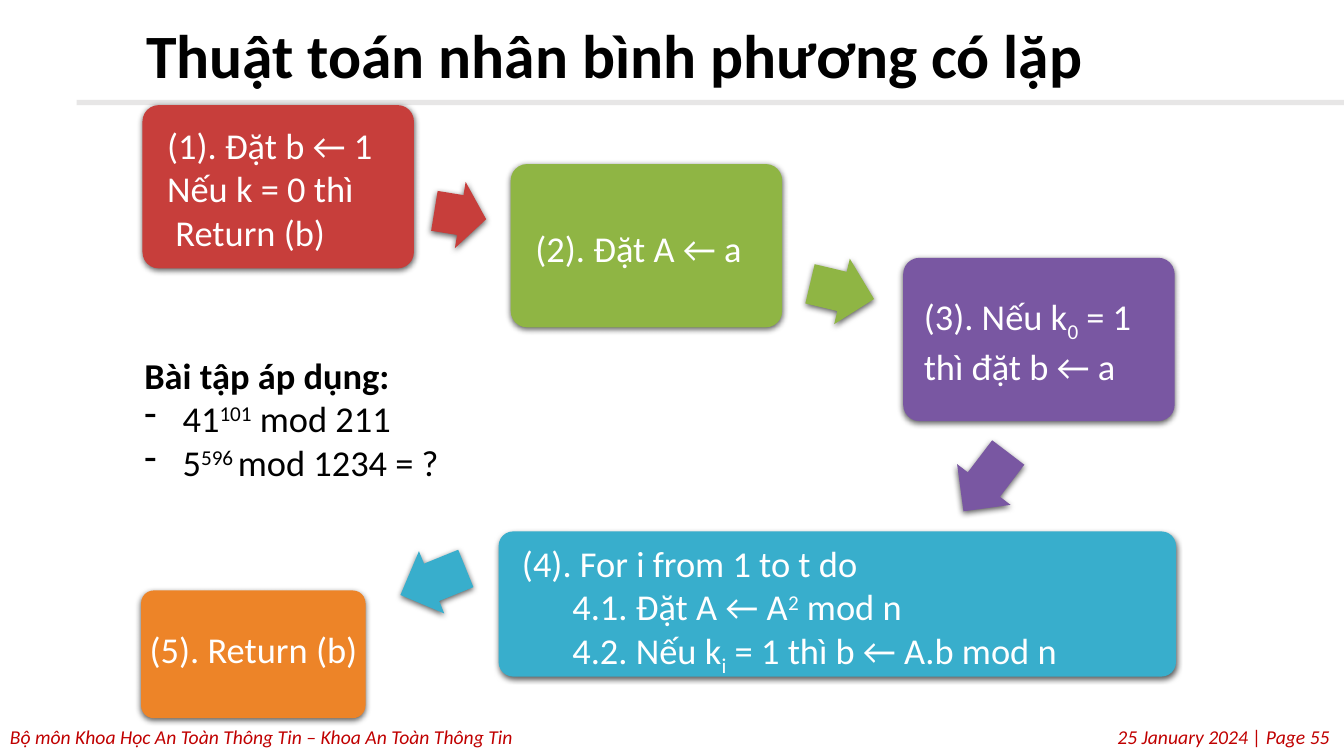
from lxml.etree import SubElement
from pptx import Presentation
from pptx.dml.color import RGBColor
from pptx.enum.shapes import MSO_SHAPE
from pptx.enum.text import MSO_ANCHOR, PP_ALIGN
from pptx.oxml.ns import qn
from pptx.util import Inches, Pt

WIDE, HIGH = Inches(13.33), Inches(7.5)
SHIFT = {"_": "-25000", "^": "30000"}  # subscript, superscript

# Each step: colour, box, text area, lines; areas are percent of the slide
STEPS = [
    ("C73E3B", (10.6, 13.9, 20.2, 21.6), (11.7, 15.6, 22.3, 18.8),
     ["(1). Đặt b ← 1", "Nếu k = 0 thì", " Return (b)"]),
    ("8FB544", (38, 21.7, 20.2, 21.6), (39.1, 29.3, 19.8, 7.2),
     ["(2). Đặt A ← a"]),
    ("7957A2", (67.2, 34.1, 20.2, 21.6), (68, 38.3, 20.9, 13.1),
     ["(3). Nếu k~_0~ = 1", "thì đặt b ← a"]),
    ("38AECC", (37.1, 70.3, 50.4, 19.2), (38.1, 70.9, 49.8, 22.9),
     ["(4). For i from 1 to t do", "\t4.1. Đặt A ← A~^2~ mod n",
      "\t4.2. Nếu k~_i~ = 1 thì b ← A.b mod n"]),
    ("ED8428", (10.5, 78.1, 16.7, 16.9), (10.4, 82.3, 18.5, 7.2),
     ["(5). Return (b)"]),
]

# Arrow after each step but the last: left, top, width, turn
ARROWS = [(32.3, 24, 3.9, 9.2), (60.2, 34.1, 4.9, 13.4),
          (70.6, 59.3, 5.5, 127.3), (29.6, 72.5, 5.25, 157.9)]


def color(code):
    return RGBColor.from_string(code)


def place(area):
    """Turn percent of the slide into lengths."""
    return [int(part * side / 100)
            for part, side in zip(area, (WIDE, HIGH, WIDE, HIGH))]


def add_form(slide, kind, area, fill):
    form = slide.shapes.add_shape(kind, *place(area))
    form.fill.solid()
    form.fill.fore_color.rgb = color(fill)
    form.line.fill.background()
    form.shadow.inherit = False
    return form


def add_shade(form):
    effects = form._element.spPr.find(qn("a:effectLst"))
    shade = SubElement(effects, qn("a:outerShdw"), blurRad=str(Pt(4.5)),
                       dist=str(Pt(1.5)), dir="5400000", algn="ctr",
                       rotWithShape="0")
    black = SubElement(shade, qn("a:srgbClr"), val="000000")
    SubElement(black, qn("a:alpha"), val="63000")


def add_text(slide, area, lines, size=26, ink="FFFFFF", bold=False,
             italic=False, align=PP_ALIGN.LEFT):
    """Write lines; a part after ~ that starts with _ or ^ is shifted."""
    frame = slide.shapes.add_textbox(*place(area)).text_frame
    frame.word_wrap = True
    for index, line in enumerate(lines):
        para = frame.paragraphs[0] if index == 0 else frame.add_paragraph()
        para.alignment = align
        font = para.font
        font.name, font.size = "Calibri", Pt(size)
        font.bold, font.italic = bold, italic
        font.color.rgb = color(ink)
        for part in line.split("~"):
            run = para.add_run()
            run.text = part.lstrip("_^")
            if part[0] in SHIFT:
                run.font._element.set("baseline", SHIFT[part[0]])
    return frame


def add_dash(para):
    props = para._p.get_or_add_pPr()
    props.set("marL", str(Inches(0.38)))
    props.set("indent", str(-Inches(0.38)))
    bullet = props.makeelement(qn("a:buChar"), {"char": "-"})
    props.insert_element_before(bullet, "a:tabLst", "a:defRPr", "a:extLst")


def add_flow(slide):
    for fill, box, area, lines in STEPS:
        form = add_form(slide, MSO_SHAPE.ROUNDED_RECTANGLE, box, fill)
        form.adjustments[0] = 0.1
        add_shade(form)
        add_text(slide, area, lines)
    for (left, top, width, turn), step in zip(ARROWS, STEPS):
        arrow = add_form(slide, MSO_SHAPE.RIGHT_ARROW,
                         (left, top, width, 8.9), step[0])
        arrow.adjustments[0], arrow.adjustments[1] = 0.6, 0.5
        arrow.rotation = turn
        add_shade(arrow)


def main():
    deck = Presentation()
    deck.slide_width, deck.slide_height = WIDE, HIGH
    slide = deck.slides.add_slide(deck.slide_layouts[6])

    # Footer and rule
    foot = {"size": 14, "ink": "C00000", "italic": True}
    add_text(slide, (0, 95.2, 100, 4.5),
             ["Bộ môn Khoa Học An Toàn Thông Tin – Khoa An Toàn Thông Tin"],
             **foot)
    add_text(slide, (0, 95.2, 99.7, 4.5), ["25 January 2024 | Page 55"],
             align=PP_ALIGN.RIGHT, **foot)
    add_form(slide, MSO_SHAPE.RECTANGLE, (5.7, 13.2, 94.3, 0.7), "E7E6E6")

    # Title
    title = add_text(slide, (9.1, 2.5, 90.4, 10.4),
                     [" Thuật toán nhân bình phương có lặp"],
                     size=44, ink="000000", bold=True)
    title.vertical_anchor = MSO_ANCHOR.MIDDLE
    title.paragraphs[0].line_spacing = 0.9

    # Steps and arrows
    add_flow(slide)

    # Exercise
    task = add_text(slide, (10, 46, 37.5, 18.8),
                    ["Bài tập áp dụng:", "41~^101~ mod 211",
                     "5~^596 ~mod 1234 = ?"], ink="000000")
    task.paragraphs[0].font.bold = True
    for para in task.paragraphs[1:]:
        add_dash(para)

    deck.save("out.pptx")


if __name__ == "__main__":
    main()
